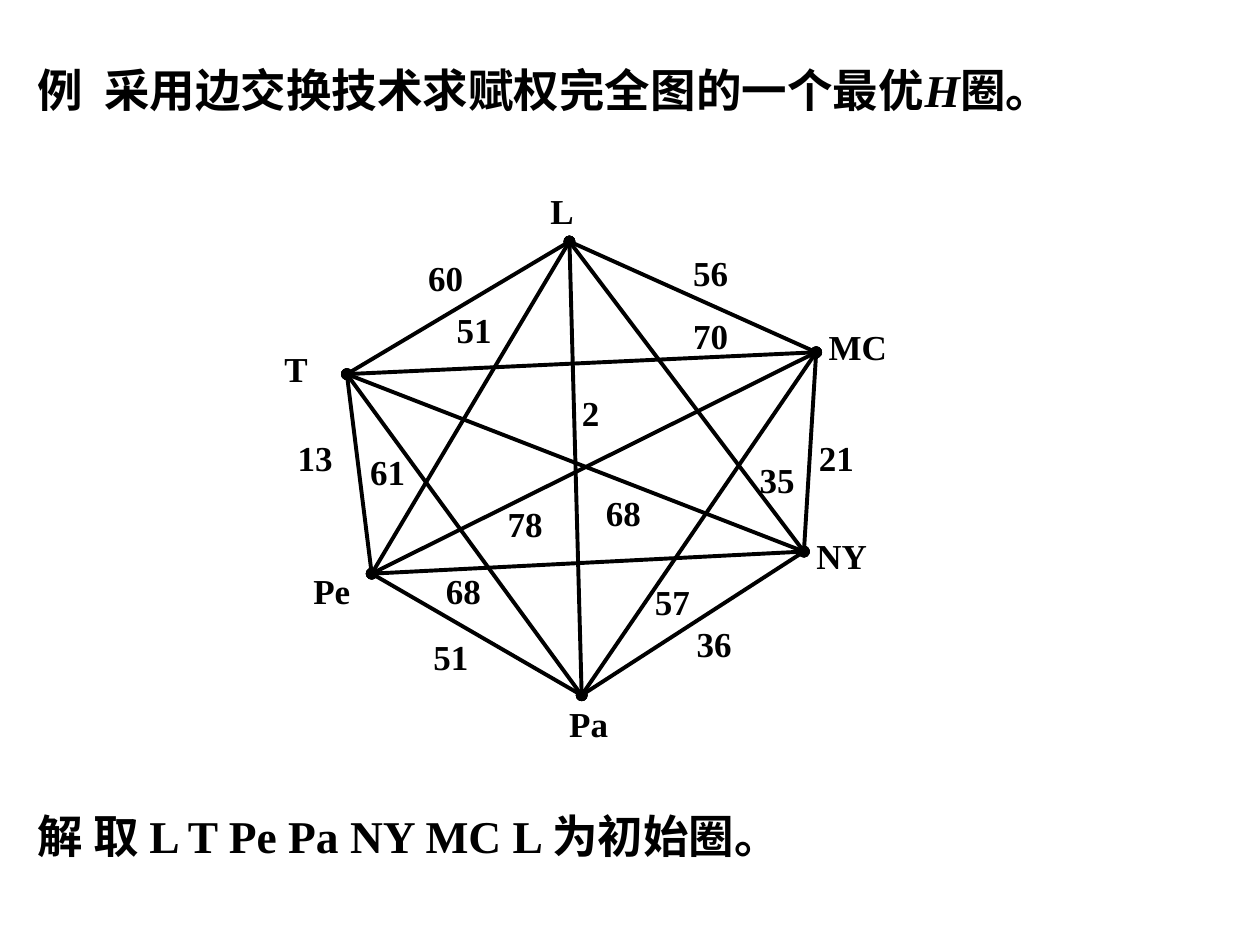
from dataclasses import dataclass

from lxml import etree
from pptx import Presentation
from pptx.dml.color import RGBColor
from pptx.enum import shapes, text
from pptx.oxml import ns
from pptx.util import Pt

INK = {"text": "000000", "line": "000000"}
LATIN, HAN = "Times New Roman", "Noto Sans CJK SC"
FRAME = {
    "margin_left": Pt(7.2), "margin_right": Pt(7.2),
    "margin_top": Pt(3.6), "margin_bottom": Pt(3.6),
    "word_wrap": True, "auto_size": text.MSO_AUTO_SIZE.NONE,
    "vertical_anchor": text.MSO_ANCHOR.TOP,
}


@dataclass
class Node:
    x: float
    y: float
    left: float
    top: float
    wide: float = 72


@dataclass
class Edge:
    start: str
    end: str
    cost: int
    left: float
    top: float


@dataclass
class Part:
    words: str
    face: str = LATIN
    slant: bool = False


NODES = {
    "L": Node(325.4, 138, 307.4, 104.6, 44),
    "T": Node(198.2, 213.8, 155.5, 195.2),
    "MC": Node(466.4, 201.3, 466.4, 182.4, 57.6),
    "Pe": Node(212.4, 327.8, 172, 322),
    "NY": Node(459.4, 315.2, 459.4, 301.8, 64.8),
    "Pa": Node(332.4, 397.3, 318.2, 397.6),
}
EDGES = [
    Edge("L", "Pa", 2, 325.4, 220.2),
    Edge("L", "T", 60, 237.6, 143.3),
    Edge("L", "MC", 56, 389, 140),
    Edge("T", "Pe", 13, 163, 245.6),
    Edge("MC", "NY", 21, 460.8, 245.6),
    Edge("Pe", "Pa", 51, 240.6, 359.4),
    Edge("NY", "Pa", 36, 391, 352),
    Edge("L", "Pe", 51, 253.8, 172.8),
    Edge("L", "NY", 35, 427, 258.5),
    Edge("T", "MC", 70, 389, 175.9),
    Edge("T", "NY", 68, 339.2, 277.4),
    Edge("T", "Pa", 61, 204.5, 253.6),
    Edge("MC", "Pe", 78, 283, 283.7),
    Edge("MC", "Pa", 57, 367.2, 328.4),
    Edge("Pe", "NY", 68, 247.7, 322),
]


def write(shape, parts: list[Part], size: float, tab: float = 0) -> None:
    frame = shape.text_frame
    for key, value in FRAME.items():
        setattr(frame, key, value)
    para = frame.paragraphs[0]
    para.alignment = text.PP_ALIGN.LEFT
    if tab:
        stops = etree.SubElement(para._p.get_or_add_pPr(), ns.qn("a:tabLst"))
        etree.SubElement(stops, ns.qn("a:tab"), pos=str(Pt(tab)), algn="l")
    for part in parts:
        run = para.add_run()
        run.text = part.words
        look = {"size": Pt(size), "bold": True, "italic": part.slant, "name": part.face}
        for key, value in look.items():
            setattr(run.font, key, value)
        run.font.color.rgb = RGBColor.from_string(INK["text"])
        etree.SubElement(run._r.get_or_add_rPr(), ns.qn("a:ea"), typeface=HAN)


def label(slide, words: str, left: float, top: float, wide: float = 44) -> None:
    box = slide.shapes.add_textbox(Pt(left), Pt(top), Pt(wide), Pt(31.6))
    write(box, [Part(words)], 20)


def link(slide, a: Node, b: Node) -> None:
    """Draw an edge with a dot at each end."""
    wire = slide.shapes.add_connector(
        shapes.MSO_CONNECTOR.STRAIGHT, Pt(a.x), Pt(a.y), Pt(b.x), Pt(b.y))
    wire.line.color.rgb = RGBColor.from_string(INK["line"])
    wire.line.width = Pt(2.25)
    pen = wire.line._get_or_add_ln()
    for tag in ("a:headEnd", "a:tailEnd"):
        etree.SubElement(pen, ns.qn(tag), type="oval")
    etree.SubElement(wire._element.spPr, ns.qn("a:effectLst"))


def main() -> None:
    deck = Presentation()
    deck.slide_width, deck.slide_height = Pt(720), Pt(540)
    slide = deck.slides.add_slide(deck.slide_layouts[5])

    title = slide.shapes.title
    place = {"left": 14.4, "top": 31.7, "width": 680.4, "height": 38.9}
    for key, value in place.items():
        setattr(title, key, Pt(value))
    write(title, [Part("例\t采用边交换技术求赋权完全图的一个最优"),
                  Part("H", slant=True), Part("圈。")], 26, tab=38)

    for edge in EDGES:
        link(slide, NODES[edge.start], NODES[edge.end])
    for edge in EDGES:
        label(slide, str(edge.cost), edge.left, edge.top)
    for name, node in NODES.items():
        label(slide, name, node.left, node.top, node.wide)

    foot = slide.shapes.add_textbox(Pt(14.4), Pt(458), Pt(617.8), Pt(38.9))
    write(foot, [Part("解 取 ", HAN), Part("L T Pe Pa NY MC L "),
                 Part("为初始圈。", HAN)], 26)
    deck.save("out.pptx")


if __name__ == "__main__":
    main()
